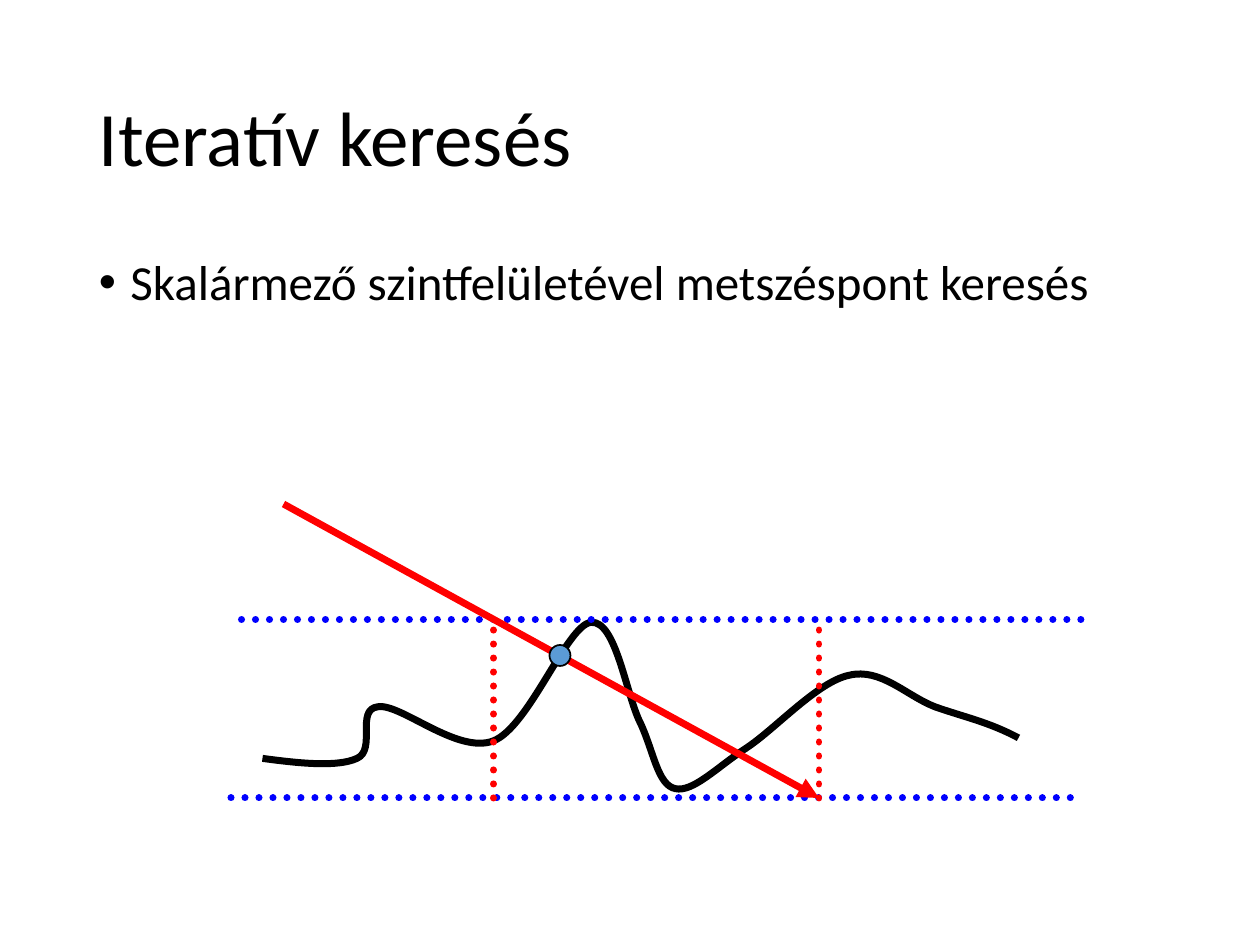
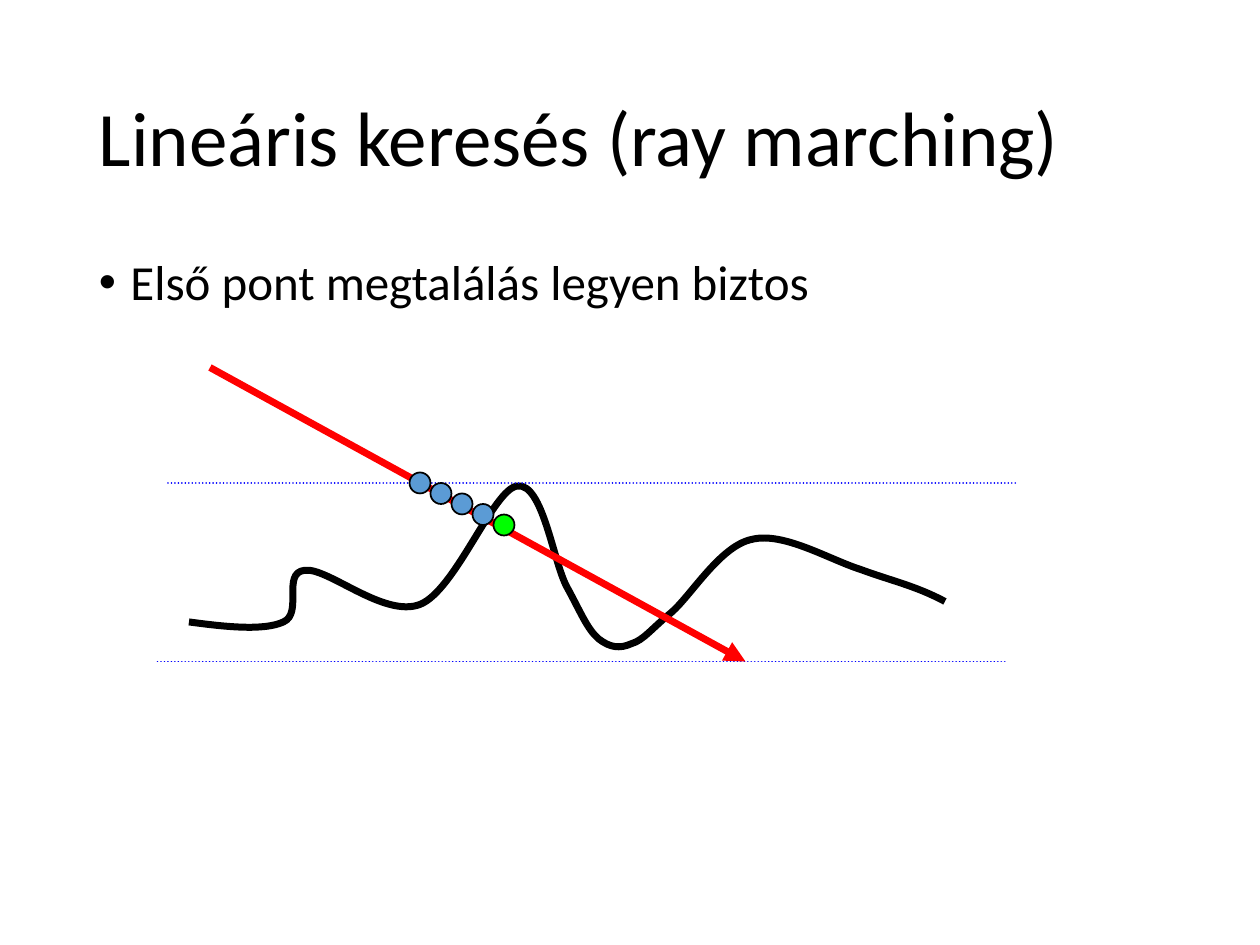
"""Build two slides on finding where a ray meets a level surface."""
from dataclasses import dataclass

from lxml.etree import SubElement
from pptx import Presentation
from pptx.dml.color import RGBColor
from pptx.enum.dml import MSO_LINE
from pptx.enum.shapes import MSO_CONNECTOR, MSO_SHAPE
from pptx.enum.text import MSO_ANCHOR
from pptx.oxml.ns import qn
from pptx.util import Pt

SURFACE_START = (0, 79.4)
RISE = [
    (21.4, 82.3), (43, 84.5), (54, 79.4),
    (65.3, 74.4), (53, 51.4), (66, 49.9),
    (79, 47.8), (111.4, 77.3), (132, 69.4),
    (152.4, 61.4), (174, 3.1), (187.7, 1.7),
]
SHARP_VALLEY = [
    (202.1, 0.2), (207.8, 43.4), (216, 59.3),
    (223.7, 75.8), (225.8, 94.6), (235.9, 96.7),
    (246, 98.9), (259.7, 84.5), (276.2, 73.7),
    (292.8, 62.9), (317.3, 35.5), (335.3, 31.9),
    (353.3, 27.6), (367.7, 43.4), (384.2, 49.9),
]
ROUND_VALLEY = [
    (202.3, -0.2), (208.1, 45.1), (216, 59.5),
    (223.9, 73.9), (227.5, 83.3), (234, 89),
    (240.5, 94.1), (246.2, 94.8), (252.7, 91.9),
    (259.9, 89.8), (264.2, 83.3), (275.8, 73.9),
    (287.3, 63.8), (303.8, 35.8), (321.8, 32.2),
    (339.8, 27.8), (365.8, 43.7), (383.8, 49.4),
]
DESCENT = [(401, 55.8), (415.3, 58.7), (432, 67.7)]

LEVEL_GAP = 102
LEVELS = [((-12, 0), (474, 0)), ((-18, LEVEL_GAP), (468, LEVEL_GAP))]
RAY_ENTRY_X, RAY_EXIT_X = 132, 318
RAY = ((12, -66), (RAY_EXIT_X, LEVEL_GAP))
STEP_X, STEP_Y, STEP_COUNT = 12, 6, 5
MARCH = [(RAY_ENTRY_X + i * STEP_X, i * STEP_Y) for i in range(STEP_COUNT)]

SLIDES = [
    {
        "title": "Iteratív keresés",
        "point": "Skalármező szintfelületével metszéspont keresés",
        "origin": (150, 354),
        "valley": SHARP_VALLEY,
        "level_width": 4,
        "bounds": [RAY_EXIT_X, RAY_ENTRY_X],
        "samples": [(170, 20.6)],
        "hit": [],
    },
    {
        "title": "Lineáris keresés (ray marching)",
        "point": "Első pont megtalálás legyen biztos",
        "origin": (108, 276),
        "valley": ROUND_VALLEY,
        "level_width": 1,
        "bounds": [],
        "samples": MARCH[:-1],
        "hit": MARCH[-1:],
    },
]


@dataclass(frozen=True)
class Theme:
    font: str = "Calibri"
    title_size: int = 44
    body_size: int = 28
    ink: str = "000000"
    level: str = "0000FF"
    ray: str = "FF0000"
    sample: str = "5B9BD5"
    hit: str = "00FF00"
    heavy: int = 4
    fine: int = 1
    dot: int = 12


THEME = Theme()
TITLE_BOX = (49.5, 28.75, 621, 104.5)
BODY_BOX = (49.5, 143.75, 621, 391)
BULLET_INDENT = 18


def add_text(slide, box, text, size, anchor, bullet=False):
    frame = slide.shapes.add_textbox(*map(Pt, box)).text_frame
    frame.word_wrap = True
    frame.vertical_anchor = anchor
    paragraph = frame.paragraphs[0]
    paragraph.text = text
    paragraph.line_spacing = 0.9
    if bullet:
        props = paragraph._p.get_or_add_pPr()
        props.set("marL", str(Pt(BULLET_INDENT)))
        props.set("indent", str(-Pt(BULLET_INDENT)))
        SubElement(props, qn("a:buFont"), typeface="Arial")
        SubElement(props, qn("a:buChar"), char="•")
    font = paragraph.runs[0].font
    font.name, font.size = THEME.font, Pt(size)
    font.color.rgb = RGBColor.from_string(THEME.ink)


def style_line(line, color, width):
    line.color.rgb = RGBColor.from_string(color)
    line.width = Pt(width)


class Figure:
    def __init__(self, slide, origin):
        self.shapes = slide.shapes
        self.origin = origin

    def place(self, point):
        return tuple(Pt(start + offset) for start, offset in zip(self.origin, point))

    def add_surface(self, start, curve):
        builder = self.shapes.build_freeform(*self.place(start))
        builder.add_line_segments([self.place(p) for p in curve], close=False)
        surface = builder.convert_to_shape()
        surface.shadow.inherit = False
        surface.fill.background()
        style_line(surface.line, THEME.ink, THEME.heavy)
        outline = surface._element.find(".//" + qn("a:path"))
        segments = outline.findall(qn("a:lnTo"))
        for i in range(0, len(segments), 3):
            bezier = SubElement(outline, qn("a:cubicBezTo"))
            for segment in segments[i:i + 3]:
                bezier.append(segment[0])
                outline.remove(segment)

    def add_line(self, ends, color, width, dotted=False, arrow=False):
        start, end = map(self.place, ends)
        connector = self.shapes.add_connector(MSO_CONNECTOR.STRAIGHT, *start, *end)
        style_line(connector.line, color, width)
        outline = connector.line._get_or_add_ln()
        if dotted:
            connector.line.dash_style = MSO_LINE.ROUND_DOT
            outline.set("cap", "rnd")
        if arrow:
            SubElement(outline, qn("a:tailEnd"), type="triangle")
        SubElement(connector._element.spPr, qn("a:effectLst"))

    def add_dot(self, center, color):
        corner = self.place([c - THEME.dot / 2 for c in center])
        dot = self.shapes.add_shape(MSO_SHAPE.OVAL, *corner, Pt(THEME.dot), Pt(THEME.dot))
        dot.shadow.inherit = False
        dot.fill.solid()
        dot.fill.fore_color.rgb = RGBColor.from_string(color)
        style_line(dot.line, THEME.ink, THEME.fine)


def build_slide(deck, content):
    slide = deck.slides.add_slide(deck.slide_layouts[6])
    add_text(slide, TITLE_BOX, content["title"], THEME.title_size, MSO_ANCHOR.MIDDLE)
    add_text(slide, BODY_BOX, content["point"], THEME.body_size, MSO_ANCHOR.TOP, bullet=True)
    figure = Figure(slide, content["origin"])
    figure.add_surface(SURFACE_START, RISE + content["valley"] + DESCENT)
    for level in LEVELS:
        figure.add_line(level, THEME.level, content["level_width"], dotted=True)
    figure.add_line(RAY, THEME.ray, THEME.heavy, arrow=True)
    for x in content["bounds"]:
        figure.add_line(((x, LEVEL_GAP), (x, 0)), THEME.ray, THEME.heavy, dotted=True)
    for center in content["samples"]:
        figure.add_dot(center, THEME.sample)
    for center in content["hit"]:
        figure.add_dot(center, THEME.hit)


def main():
    deck = Presentation()
    deck.slide_width, deck.slide_height = Pt(720), Pt(540)
    for content in SLIDES:
        build_slide(deck, content)
    deck.save("out.pptx")


if __name__ == "__main__":
    main()
